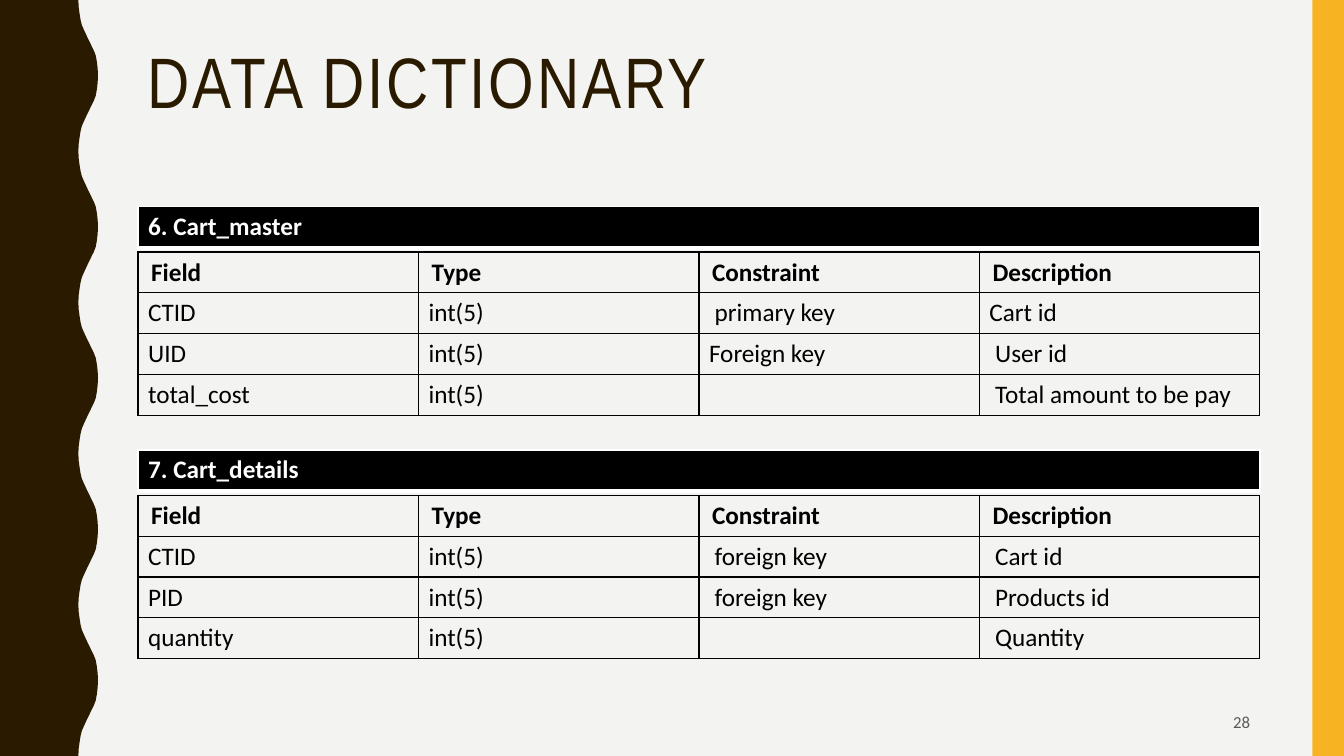
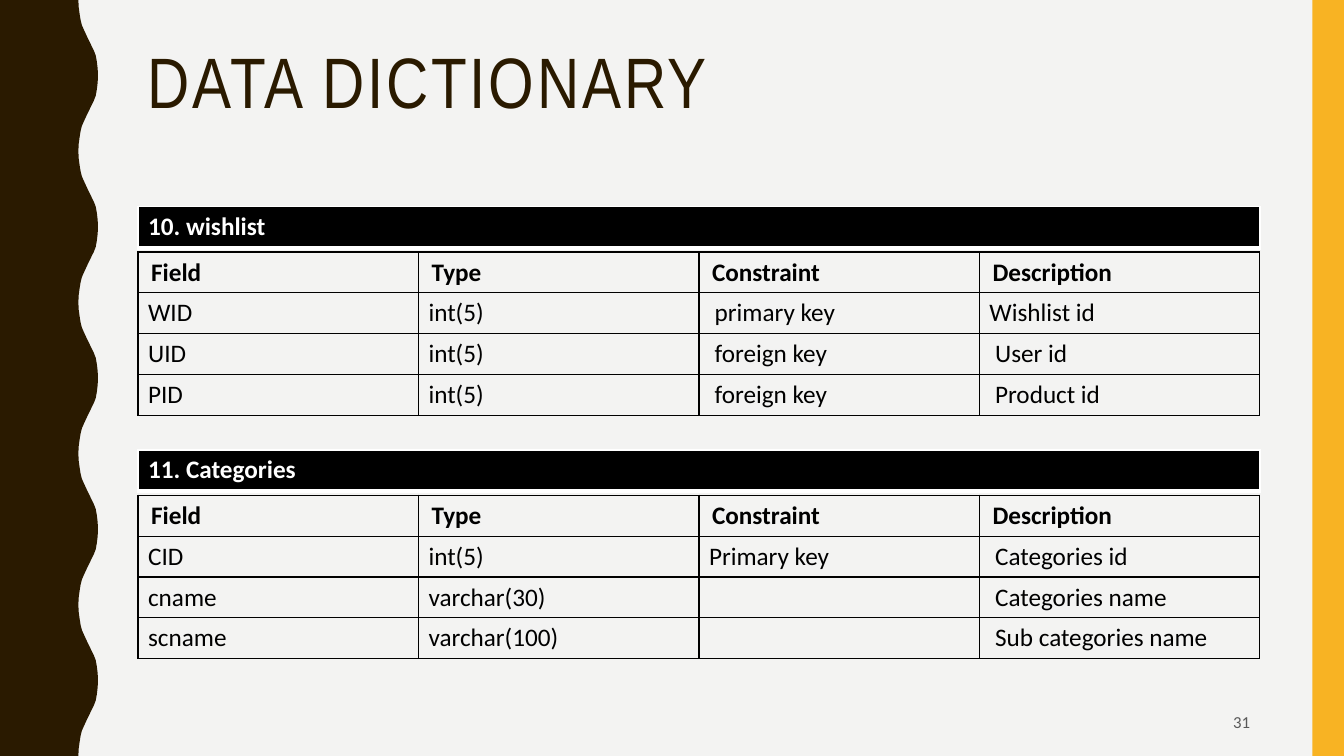
"""Builds two data dictionary slides, each with two captioned field tables."""
import pptx
import pptx.dml.color
import pptx.enum.shapes
import pptx.enum.text
import pptx.oxml
import pptx.oxml.ns
import pptx.util

Pt = pptx.util.Pt
RGB = pptx.dml.color.RGBColor
ALIGN = pptx.enum.text.PP_ALIGN
ANCHOR = pptx.enum.text.MSO_ANCHOR

TITLE = "DATA DICTIONARY"
HEADINGS = ("Field", "Type", "Constraint", "Description")
SLIDES = [
    ("28", [
        ("6. Cart_master", [
            ("CTID", "int(5)", " primary key", "Cart id"),
            ("UID", "int(5)", "Foreign key", " User id"),
            ("total_cost", "int(5)", "", " Total amount to be pay"),
        ]),
        ("7. Cart_details", [
            ("CTID", "int(5)", " foreign key", " Cart id"),
            ("PID", "int(5)", " foreign key", " Products id"),
            ("quantity", "int(5)", "", " Quantity"),
        ]),
    ]),
    ("31", [
        ("10. wishlist", [
            ("WID", "int(5)", " primary key", "Wishlist id"),
            ("UID", "int(5)", " foreign key", " User id"),
            ("PID", "int(5)", " foreign key", " Product id"),
        ]),
        ("11. Categories", [
            ("CID", "int(5)", "Primary key", " Categories id"),
            ("cname", "varchar(30)", "", " Categories name"),
            ("scname", "varchar(100)", "", " Sub categories name"),
        ]),
    ]),
]

PAPER = RGB(0xF3, 0xF3, 0xF2)
BROWN = RGB(0x2A, 0x1A, 0x00)
AMBER = RGB(0xF8, 0xB3, 0x23)
GREY = RGB(0x59, 0x59, 0x59)
BLACK = RGB(0, 0, 0)
WHITE = RGB(0xFF, 0xFF, 0xFF)

TITLE_FONT, BODY_FONT = "Arial Narrow", "Calibri"
WIDTH, HEIGHT = 960, 540
LEFT, RIGHT = 98.6, 900
CONTENT_WIDTH = RIGHT - LEFT
CAPTION_TOP, SECTION_STEP, GRID_OFFSET = 147.6, 173.8, 32.4
CAPTION_HEIGHT, ROW_HEIGHT = 29.5, 29.17
WAVE_PERIOD, WAVE_COUNT = 108, 5
WAVE_RISE = [(56, 0), (56.2, 5), (56.9, 10), (57.6, 14.4), (58.5, 18),
             (59.8, 21), (61.2, 24), (62.6, 27), (64.1, 30), (65.5, 33),
             (67, 36), (68.4, 39.6), (69.2, 44), (69.8, 49), (70, 54)]


def style_run(p, font, size, color, bold=False):
    for r in p.runs:
        r.font.name, r.font.size, r.font.bold = font, Pt(size), bold
        r.font.color.rgb = color


def paint(sp, color):
    sp.shadow.inherit = False
    sp.fill.solid()
    sp.fill.fore_color.rgb = color
    sp.line.fill.background()


def add_bands(s):
    wave = WAVE_RISE + [(x, WAVE_PERIOD - y) for x, y in WAVE_RISE[-2::-1]]
    edge = [(Pt(x), Pt(y + n * WAVE_PERIOD)) for n in range(WAVE_COUNT) for x, y in wave]
    outline = s.shapes.build_freeform(0, 0)
    outline.add_line_segments(edge + [(0, Pt(HEIGHT))], close=True)
    paint(outline.convert_to_shape(), BROWN)
    rect = pptx.enum.shapes.MSO_SHAPE.RECTANGLE
    paint(s.shapes.add_shape(rect, Pt(937.5), 0, Pt(22.5), Pt(HEIGHT)), AMBER)


def add_text(s, text, left, top, width, height, anchor):
    tf = s.shapes.add_textbox(Pt(left), Pt(top), Pt(width), Pt(height)).text_frame
    tf.word_wrap = True
    tf.vertical_anchor = anchor
    tf.text = text
    return tf.paragraphs[0]


def add_title(s):
    p = add_text(s, TITLE, LEFT, 30.2, CONTENT_WIDTH, 117.4, ANCHOR.TOP)
    p.line_spacing = 0.9
    style_run(p, TITLE_FONT, 51, BROWN)
    p.runs[0].font._element.set("spc", "200")


def add_page_number(s, number):
    p = add_text(s, number, 678.2, 501.8, RIGHT - 678.2, 27.4, ANCHOR.MIDDLE)
    p.alignment = ALIGN.RIGHT
    style_run(p, BODY_FONT, 12, GREY)


def set_borders(cell, color, bottom):
    tcPr = cell._tc.get_or_add_tcPr()
    for side in "LRTB":
        width = Pt(bottom if side == "B" else 1)
        tcPr.append(pptx.oxml.parse_xml(
            f'<a:ln{side} {pptx.oxml.ns.nsdecls("a")} w="{width}"><a:solidFill>'
            f'<a:srgbClr val="{color}"/></a:solidFill></a:ln{side}>'))


def add_grid(s, rows, top, row_height, border, bottom=1):
    count = len(rows[0])
    table = s.shapes.add_table(len(rows), count, Pt(LEFT), Pt(top), Pt(CONTENT_WIDTH),
                               Pt(row_height * len(rows))).table
    table.first_row = table.horz_banding = False
    for i, row in enumerate(rows):
        for j, text in enumerate(row):
            cell = table.cell(i, j)
            cell.text = text
            cell.vertical_anchor = ANCHOR.MIDDLE
            set_borders(cell, border, bottom)
            cell.fill.background()
            style_run(cell.text_frame.paragraphs[0], BODY_FONT, 18, BLACK, bold=i == 0)
    return table


def add_section(s, caption, fields, top):
    grid = add_grid(s, [HEADINGS] + fields, top + GRID_OFFSET, ROW_HEIGHT, BLACK)
    for j in range(len(HEADINGS)):
        cell = grid.cell(0, j)
        cell.margin_left = cell.margin_right = Pt(9.4)
    cell = add_grid(s, [(caption,)], top, CAPTION_HEIGHT, WHITE, bottom=3).cell(0, 0)
    cell.vertical_anchor = ANCHOR.TOP
    cell.fill.solid()
    cell.fill.fore_color.rgb = BLACK
    style_run(cell.text_frame.paragraphs[0], BODY_FONT, 18, WHITE, bold=True)


def main():
    prs = pptx.Presentation()
    prs.slide_width, prs.slide_height = Pt(WIDTH), Pt(HEIGHT)
    background = prs.slide_master.background.fill
    background.solid()
    background.fore_color.rgb = PAPER
    for number, sections in SLIDES:
        s = prs.slides.add_slide(prs.slide_layouts[6])
        add_bands(s)
        add_title(s)
        for n, (caption, fields) in enumerate(sections):
            add_section(s, caption, fields, CAPTION_TOP + n * SECTION_STEP)
        add_page_number(s, number)
    prs.save("out.pptx")


if __name__ == "__main__":
    main()
